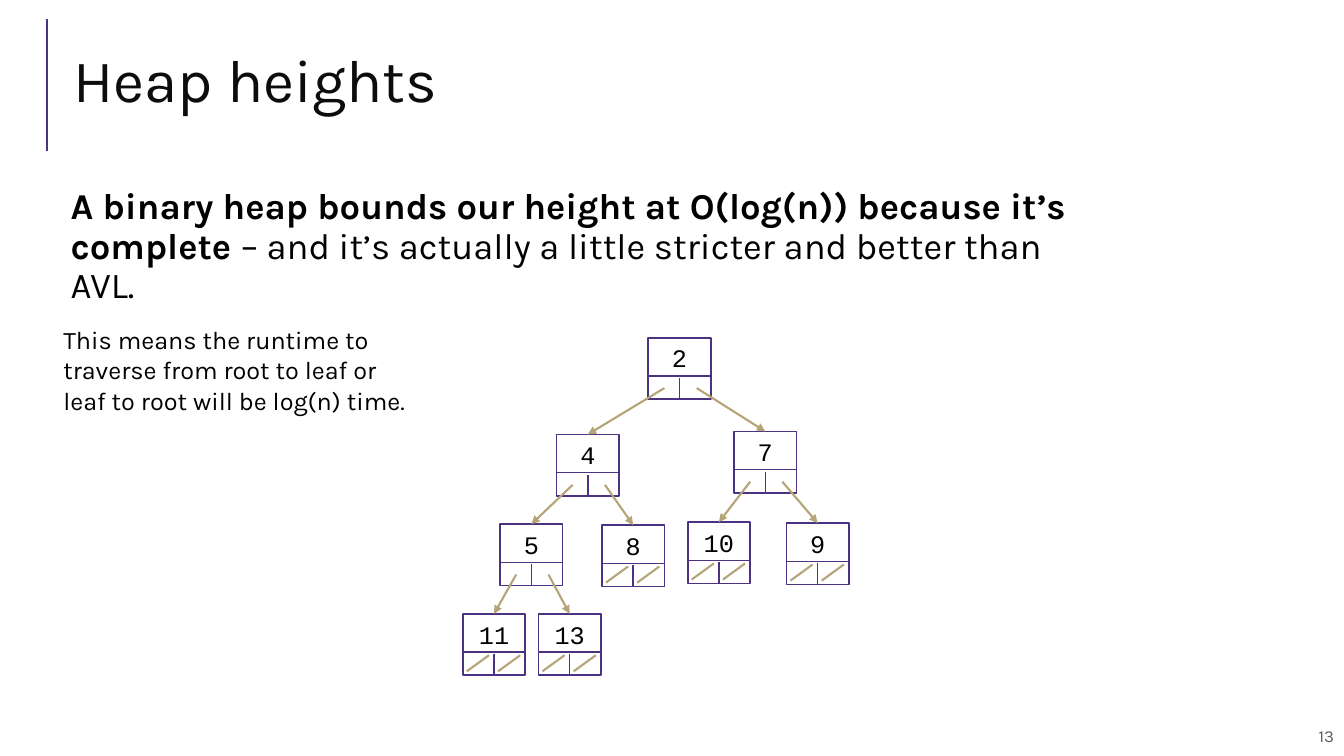
from lxml import etree
from pptx import Presentation
from pptx.dml.color import RGBColor
from pptx.enum.shapes import MSO_CONNECTOR, MSO_SHAPE
from pptx.enum.text import MSO_ANCHOR, PP_ALIGN
from pptx.oxml.ns import qn
from pptx.util import Inches, Pt

STRAIGHT, RECTANGLE = MSO_CONNECTOR.STRAIGHT, MSO_SHAPE.RECTANGLE
TOP, MIDDLE = MSO_ANCHOR.TOP, MSO_ANCHOR.MIDDLE
LEFT, CENTER, RIGHT = PP_ALIGN.LEFT, PP_ALIGN.CENTER, PP_ALIGN.RIGHT

SLIDE_W, SLIDE_H = 13.33, 7.5
PURPLE, GOLD, BLACK = "4C3282", "B6A479", "000000"
BODY_FONT, CODE_FONT = "Karla", "Courier New"

NODE_W, NODE_H = 0.62, 0.61
VALUE_H = 0.38  # the pointer cells fill the rest of the node
POINTER_Y = 0.5
POINTER_X = (0.16, 0.48)

# value: (left, top) of the node
NODES = {
    2: (6.43, 3.35),
    4: (5.52, 4.31), 7: (7.28, 4.28),
    5: (4.96, 5.2), 8: (5.97, 5.21), 10: (6.82, 5.18), 9: (7.8, 5.19),
    11: (4.59, 6.09), 13: (5.34, 6.09),
}
# parent: (left child, right child)
CHILDREN = {2: (4, 7), 4: (5, 8), 7: (10, 9), 5: (11, 13)}


def rgb(hex_code):
    return RGBColor.from_string(hex_code)


def add_text(slide, box, runs, size, font=BODY_FONT, color=BLACK, align=LEFT,
             anchor=TOP, insets=(0.1, 0.05), spacing=None, wrap=True):
    """Write one paragraph; runs is a list of (text, bold) pairs."""
    frame = slide.shapes.add_textbox(*map(Inches, box)).text_frame
    frame.word_wrap = wrap
    frame.vertical_anchor = anchor
    frame.margin_left = frame.margin_right = Inches(insets[0])
    frame.margin_top = frame.margin_bottom = Inches(insets[1])
    paragraph = frame.paragraphs[0]
    paragraph.alignment = align
    if spacing:
        paragraph.line_spacing = spacing
    for text, bold in runs:
        run = paragraph.add_run()
        run.text = text
        run.font.name = font
        run.font.size = Pt(size)
        run.font.bold = bold
        run.font.color.rgb = rgb(color)


def add_line(slide, start, end, color=PURPLE, width=1.0, arrow=False):
    line = slide.shapes.add_connector(STRAIGHT, *map(Inches, (*start, *end)))
    line.line.color.rgb = rgb(color)
    line.line.width = Pt(width)
    if arrow:
        etree.SubElement(line.line._get_or_add_ln(), qn("a:tailEnd"), type="triangle")
    etree.SubElement(line._element.spPr, qn("a:effectLst"))


def add_node(slide, value):
    """Draw a heap node: its value above two pointer cells."""
    left, top = NODES[value]
    middle, divider, bottom = left + NODE_W / 2, top + VALUE_H, top + NODE_H
    frame = slide.shapes.add_shape(
        RECTANGLE, *map(Inches, (left, top, NODE_W, NODE_H)))
    frame.shadow.inherit = False
    frame.fill.background()
    frame.line.color.rgb = rgb(PURPLE)
    frame.line.width = Pt(1.25)

    label = str(value)
    label_w = 0.2 + 0.15 * len(label)
    add_text(slide, (middle - label_w / 2, top, label_w, 0.4), [(label, False)],
             18, font=CODE_FONT, align=CENTER, wrap=False)
    add_line(slide, (left, divider), (left + NODE_W, divider))
    add_line(slide, (middle, bottom), (middle, divider + 0.02))

    if value not in CHILDREN:
        for cell in (left, middle):
            add_line(slide, (cell + 0.26, divider + 0.03),
                     (cell + 0.04, bottom - 0.04), GOLD, 1.5)


def add_child_arrows(slide, parent):
    left, top = NODES[parent]
    for offset, child in zip(POINTER_X, CHILDREN[parent]):
        child_left, child_top = NODES[child]
        add_line(slide, (left + offset, top + POINTER_Y),
                 (child_left + NODE_W / 2, child_top), GOLD, 1.5, arrow=True)


def main():
    deck = Presentation()
    deck.slide_width, deck.slide_height = Inches(SLIDE_W), Inches(SLIDE_H)
    slide = deck.slides.add_slide(deck.slide_layouts[6])

    add_line(slide, (0.47, 1.5), (0.47, 0.19), width=1.5)
    add_text(slide, (0.63, 0.29, 12.23, 1.11), [("Heap heights", False)], 43,
             color="0C0C0C", anchor=MIDDLE, spacing=0.8)
    add_text(slide, (0.65, 1.82, 10.25, 1.11), [
        ("A binary heap bounds our height at O(log(n)) because it’s complete ", True),
        ("– and it’s actually a little stricter and better than AVL.", False),
    ], 26, insets=(0.05, 0.05), spacing=0.9)
    add_text(slide, (0.53, 3.17, 3.66, 1.01), [
        ("This means the runtime to traverse from root to leaf or "
         "leaf to root will be log(n) time.", False)], 18)

    for value in NODES:
        add_node(slide, value)
    for parent in CHILDREN:
        add_child_arrows(slide, parent)

    add_text(slide, (8.65, 7.1, 4.68, 0.4), [("13", False)], 12, color="595959",
             align=RIGHT, anchor=MIDDLE, insets=(0.1, 0.1))
    deck.save("out.pptx")


if __name__ == "__main__":
    main()
